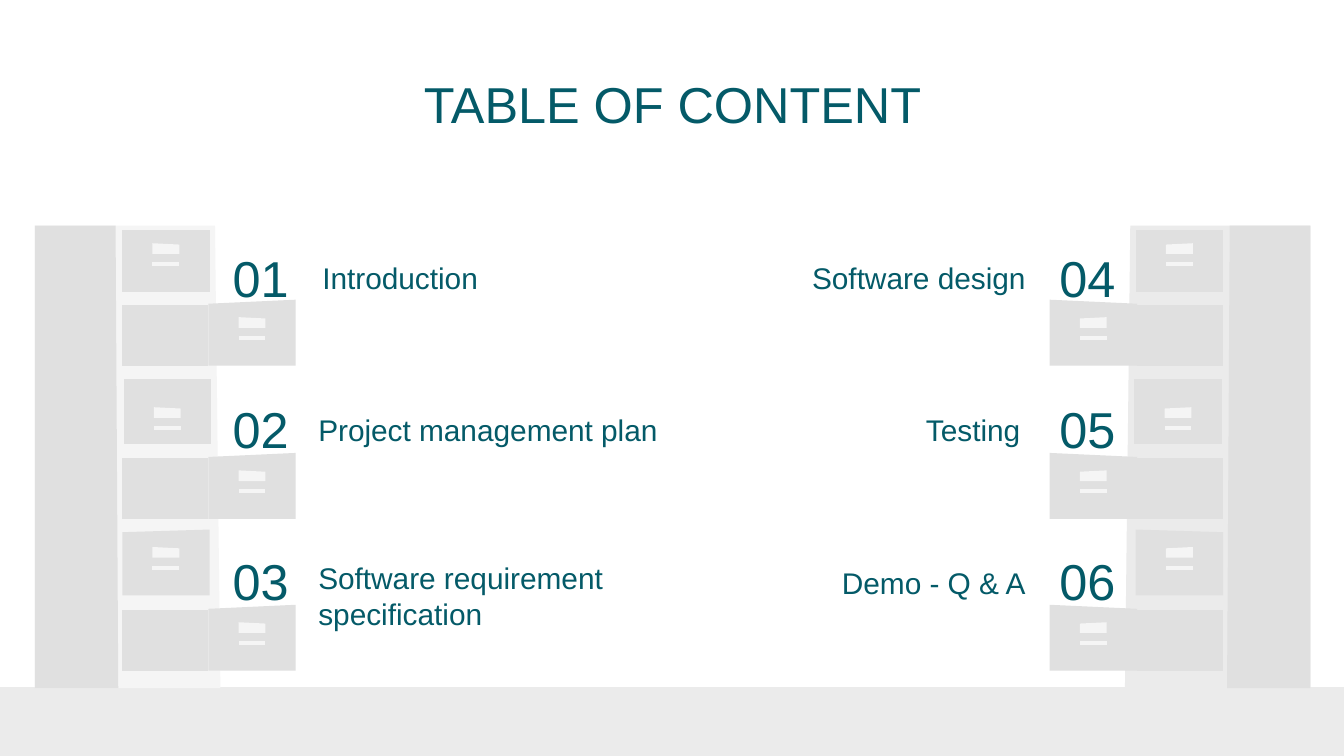
"""Build a table of contents slide framed by two mirrored filing cabinets."""
from pptx import Presentation
from pptx.dml.color import RGBColor as RGB
from pptx.enum.text import MSO_ANCHOR as ANCHOR, PP_ALIGN as ALIGN
from pptx.util import Inches, Pt

COLORS = {"text": "045A68", "floor": "EBEBEB", "steel": "E0E0E0", "light": "F5F5F5"}
COLS, ROWS = 100, 56.25

prs = Presentation()
prs.slide_width, prs.slide_height = Inches(10), Inches(5.625)
cell = prs.slide_width / COLS
s = prs.slides.add_slide(prs.slide_layouts[6])


def add_polygon(shapes, points, color, mirrored=False):
    pts = [((COLS + 0.1 - x if mirrored else x) * cell, y * cell) for x, y in points]
    builder = shapes.build_freeform(*pts[0])
    builder.add_line_segments(pts[1:], close=True)
    sp = builder.convert_to_shape()
    sp.shadow.inherit = False
    sp.fill.solid()
    sp.fill.fore_color.rgb = RGB.from_string(COLORS[color])
    sp.line.fill.background()


def add_text(text, box, size, align, anchor):
    sp = s.shapes.add_textbox(*(round(v * cell) for v in box))
    tf = sp.text_frame
    tf.word_wrap = True
    tf.vertical_anchor = anchor
    tf.margin_left = tf.margin_right = tf.margin_top = tf.margin_bottom = Inches(0.1)
    tf.text = text
    for p in tf.paragraphs:
        p.alignment = align
        p.font.name, p.font.size = "Arial", Pt(size)
        p.font.color.rgb = RGB.from_string(COLORS["text"])


add_polygon(s.shapes, [(0, 51.1), (0, ROWS), (COLS, ROWS), (COLS, 51.1)], "floor")
add_text("TABLE OF CONTENT", (7.9, 5.9, 84.3, 3.5), 27, ALIGN.CENTER, ANCHOR.MIDDLE)

topics = [
    ("Introduction", 23, 16, 22.4, ALIGN.LEFT),
    ("Project management plan", 22.7, 27.3, 31, ALIGN.LEFT),
    ("Software requirement\nspecification", 22.7, 41, 27.8, ALIGN.LEFT),
    ("Software design", 54.9, 16, 22.4, ALIGN.RIGHT),
    ("Testing", 54.5, 27.3, 22.4, ALIGN.RIGHT),
    ("Demo - Q & A", 54.9, 38.7, 22.4, ALIGN.RIGHT),
]
for i, (topic, left, top, width, align) in enumerate(topics):
    side, row = divmod(i, 3)
    add_text(topic, (left, top, width, 7), 16, align, ANCHOR.BOTTOM)
    number_box = (15.8 + 61.5 * side, 17.4 + 11.25 * row, 7.2, 9)
    add_text(f"{i + 1:02}", number_box, 27, ALIGN.CENTER, ANCHOR.TOP)

closed_drawers = [
    (9.1, 21.7, 4.6, 4.6, 3.6),
    (9.2, 33, 4.8, 4.8, 2.7),
    (9.1, 44.3, 4.7, 4.9, 3.6),
]
open_bottoms = [27.2, 38.6, 49.9]
open_drawers = [(15.5, bottom, 4.6, 4.9, 3.6) for bottom in open_bottoms]

for mirrored, case_color in ((True, "floor"), (False, "light")):
    cabinet = s.shapes.add_group_shape().shapes
    parts = [
        ([(2.6, 16.8), (2.6, 51.2), (16.4, 51.2), (16, 16.8)], case_color),
        ([(2.6, 16.8), (2.6, 51.2), (8.8, 51.2), (8.6, 16.8)], "steel"),
    ]
    for bottom in open_bottoms:
        top = bottom - 4.5
        parts.append(([(9.1, top), (9.1, bottom), (15.5, bottom), (15.5, top)], "steel"))
    for left, bottom, left_height, right_height, rise in closed_drawers + open_drawers:
        right, x1, x2 = left + 6.5, left + 2.25, left + 4.25
        label, handle = bottom - rise, bottom - rise + 1.4
        parts += [
            ([(left, bottom - left_height), (left, bottom),
              (right, bottom), (right, bottom - right_height)], "steel"),
            ([(x1, label), (x1, label + 0.8), (x2, label + 0.8), (x2, label + 0.1)], "light"),
            ([(x1, handle), (x1, handle + 0.3), (x2, handle + 0.3), (x2, handle)], "light"),
        ]
    for points, color in parts:
        add_polygon(cabinet, points, color, mirrored)

prs.save("out.pptx")
